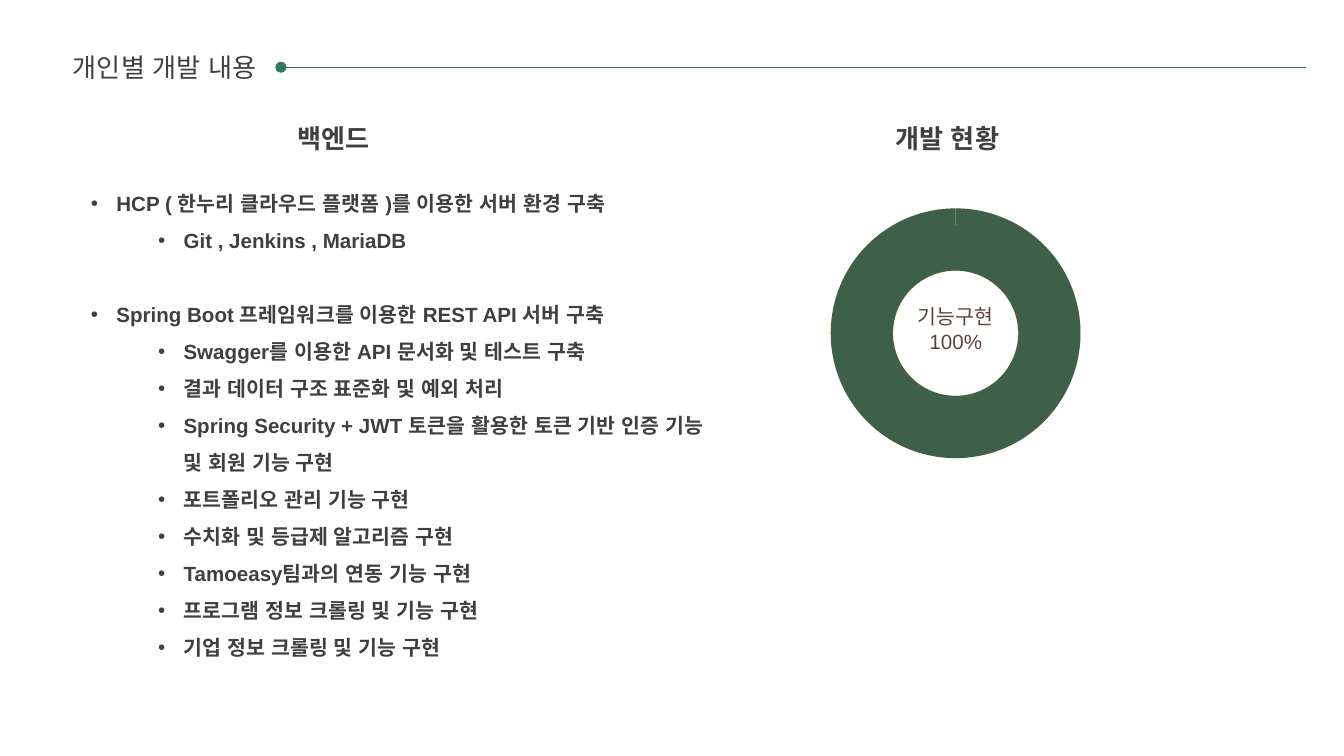
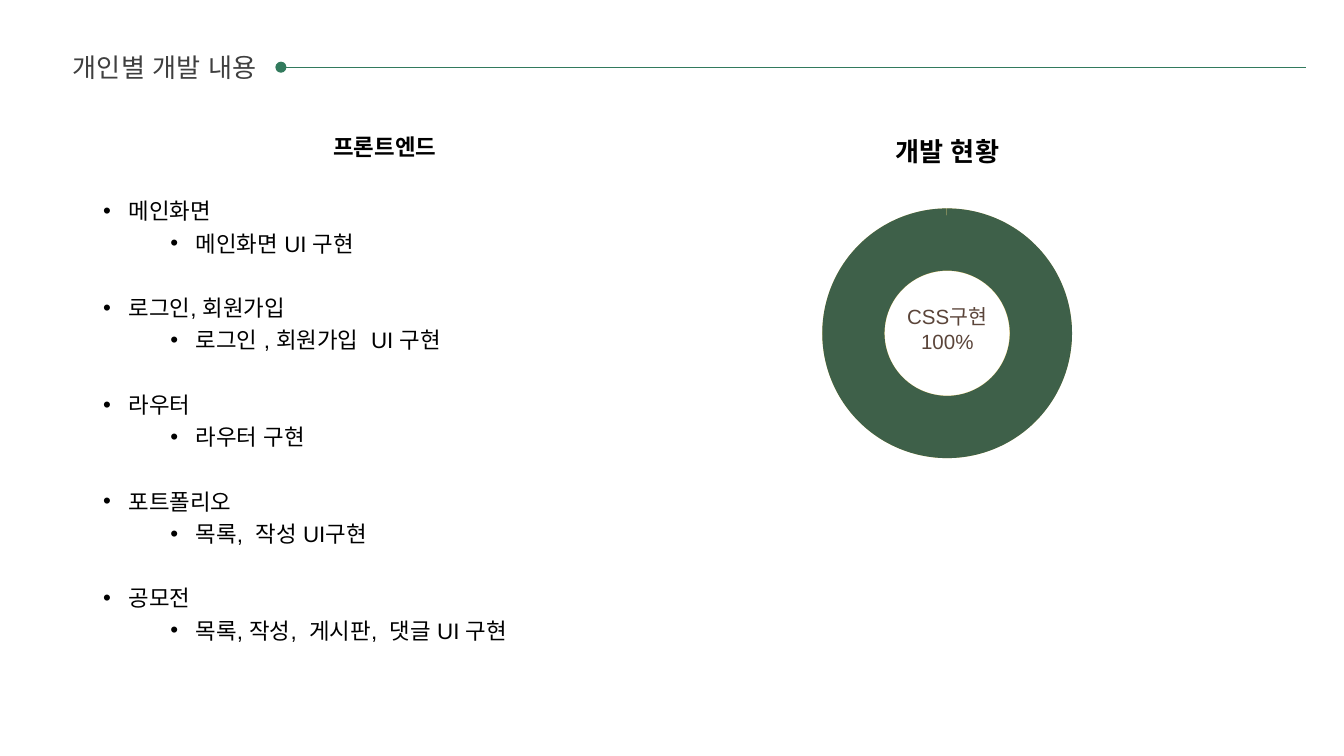
"""Build the two slides on individual development work."""
from dataclasses import dataclass
from typing import NamedTuple

from lxml import etree
from pptx import Presentation
from pptx.dml.color import RGBColor
from pptx.enum.shapes import MSO_CONNECTOR, MSO_SHAPE
from pptx.enum.text import MSO_ANCHOR, PP_ALIGN
from pptx.oxml.ns import qn
from pptx.util import Cm, Pt

STRAIGHT = MSO_CONNECTOR.STRAIGHT
DONUT = MSO_SHAPE.DONUT
BLOCK_ARC = MSO_SHAPE.BLOCK_ARC
TOP = MSO_ANCHOR.TOP
CENTER = PP_ALIGN.CENTER
LEFT = PP_ALIGN.LEFT


@dataclass(frozen=True)
class Theme:
    """Colours, font and type sizes of the deck."""
    font: str = "Arial"
    gray: str = "3F3F3F"
    black: str = "000000"
    rule: str = "327A5D"
    ring: str = "3E6049"
    ring_base: str = "F2D47E"
    ring_text: str = "5B453A"
    title_size: float = 14
    subtitle_size: float = 12
    small_size: float = 11
    rule_width: float = 0.75


THEME = Theme()


class Box(NamedTuple):
    """Place of an element in centimetres."""
    left: float
    top: float
    width: float
    height: float

    def lengths(self) -> list[Cm]:
        """Return the four values as lengths."""
        return [Cm(value) for value in self]


class Style(NamedTuple):
    """Look of a piece of text."""
    size: float
    color: str
    bold: bool = False


class Topic(NamedTuple):
    """First-level bullet with its second-level bullets."""
    name: str
    details: list[str]


@dataclass(frozen=True)
class Part:
    """Content of one development slide."""
    heading: str
    heading_box: Box
    heading_size: float
    status_top: float
    color: str
    topics: list[Topic]
    topics_box: Box
    topics_style: Style
    line_spacing: float
    topic_gap: float
    ring_left: float
    ring_label: str


TITLE = "개인별 개발 내용"
TITLE_BOX = Box(0.51, 0.84, 5.21, 0.86)
RULE_START, RULE_END, RULE_TOP = 5.31, 24.69, 1.27
STATUS = "개발 현황"
STATUS_LEFT, HEADING_WIDTH, HEADING_HEIGHT = 14.5, 6.81, 0.86
RING_TOP, RING_SIZE = 3.94, 4.72
RING_LABEL = Box(1.3, 1.68, 2.13, 1.19)
HANGING = 0.48
LEVEL_MARGINS = (0.48, 1.75)

PARTS = [
    Part(
        heading="백엔드",
        heading_box=Box(2.9, 2.18, HEADING_WIDTH, HEADING_HEIGHT),
        heading_size=THEME.title_size,
        status_top=2.18,
        color=THEME.gray,
        topics=[
            Topic("HCP ( 한누리 클라우드 플랫폼 )를 이용한 서버 환경 구축",
                  ["Git , Jenkins , MariaDB"]),
            Topic("Spring Boot 프레임워크를 이용한 REST API 서버 구축", [
                "Swagger를 이용한 API 문서화 및 테스트 구축",
                "결과 데이터 구조 표준화 및 예외 처리",
                "Spring Security + JWT 토큰을 활용한 토큰 기반 인증 기능 및 회원 기능 구현",
                "포트폴리오 관리 기능 구현",
                "수치화 및 등급제 알고리즘 구현",
                "Tamoeasy팀과의 연동 기능 구현",
                "프로그램 정보 크롤링 및 기능 구현",
                "기업 정보 크롤링 및 기능 구현",
            ]),
        ],
        topics_box=Box(1.47, 3.26, 12.22, 8.9),
        topics_style=Style(THEME.small_size, THEME.gray, True),
        line_spacing=1.5,
        topic_gap=19.8,
        ring_left=15.7,
        ring_label="기능구현",
    ),
    Part(
        heading="프론트엔드",
        heading_box=Box(3.87, 2.39, HEADING_WIDTH, HEADING_HEIGHT),
        heading_size=THEME.subtitle_size,
        status_top=2.44,
        color=THEME.black,
        topics=[
            Topic("메인화면", ["메인화면 UI 구현"]),
            Topic("로그인, 회원가입", ["로그인 , 회원가입  UI 구현"]),
            Topic("라우터", ["라우터 구현"]),
            Topic("포트폴리오", ["목록,  작성 UI구현"]),
            Topic("공모전", ["목록, 작성,  게시판,  댓글 UI 구현"]),
        ],
        topics_box=Box(1.7, 3.51, 9.2, 9),
        topics_style=Style(THEME.subtitle_size, THEME.black),
        line_spacing=1.2,
        topic_gap=17.3,
        ring_left=15.54,
        ring_label="CSS구현",
    ),
]


def write(paragraph, text: str, style: Style, **formats) -> None:
    """Add one styled run and apply the paragraph formats."""
    for name, value in formats.items():
        setattr(paragraph, name, value)
    run = paragraph.add_run()
    run.text = text
    font_formats = {"name": THEME.font, "size": Pt(style.size), "bold": style.bold}
    for name, value in font_formats.items():
        setattr(run.font, name, value)
    run.font.color.rgb = RGBColor.from_string(style.color)
    properties = run.font._element
    etree.SubElement(properties, qn("a:ea"), typeface=THEME.font)


def add_frame(shapes, box: Box):
    """Add an empty wrapping text box and return its frame."""
    frame = shapes.add_textbox(*box.lengths()).text_frame
    frame.word_wrap = True
    frame.vertical_anchor = TOP
    return frame


def add_centered(shapes, lines: list[str], box: Box, style: Style) -> None:
    """Add a text box with centred lines."""
    frame = add_frame(shapes, box)
    for index, line in enumerate(lines):
        paragraph = frame.add_paragraph() if index else frame.paragraphs[0]
        write(paragraph, line, style, alignment=CENTER)


def set_bullet(paragraph, level: int, color: str) -> None:
    """Give a paragraph a hanging round bullet."""
    properties = paragraph._p.get_or_add_pPr()
    properties.set("marL", str(Cm(LEVEL_MARGINS[level])))
    properties.set("indent", str(-Cm(HANGING)))
    bullet_color = etree.SubElement(properties, qn("a:buClr"))
    etree.SubElement(bullet_color, qn("a:srgbClr"), val=color)
    etree.SubElement(properties, qn("a:buFont"), typeface=THEME.font)
    etree.SubElement(properties, qn("a:buChar"), char="•")


def add_topics(slide, part: Part) -> None:
    """Add the two-level bullet list."""
    frame = add_frame(slide.shapes, part.topics_box)
    entries = [(level, text) for topic in part.topics
               for level, text in [(0, topic.name), *((1, item) for item in topic.details)]]
    for index, (level, text) in enumerate(entries):
        paragraph = frame.add_paragraph() if index else frame.paragraphs[0]
        set_bullet(paragraph, level, part.color)
        gap = part.topic_gap if index and level == 0 else 0
        write(paragraph, text, part.topics_style, level=level, alignment=LEFT,
              line_spacing=part.line_spacing, space_before=Pt(gap))


def add_title(slide) -> None:
    """Add the slide title and its dotted rule."""
    rule = slide.shapes.add_connector(
        STRAIGHT, Cm(RULE_START), Cm(RULE_TOP), Cm(RULE_END), Cm(RULE_TOP))
    rule.line.color.rgb = RGBColor.from_string(THEME.rule)
    rule.line.width = Pt(THEME.rule_width)
    properties = rule._element.spPr
    etree.SubElement(properties.find(qn("a:ln")), qn("a:headEnd"), type="oval")
    etree.SubElement(properties, qn("a:effectLst"))
    add_centered(slide.shapes, [TITLE], TITLE_BOX, Style(THEME.title_size, THEME.gray))


def add_ring_shape(shapes, kind, box: Box, color: str, adjustments: list[float]):
    """Add one flat ring shape."""
    shape = shapes.add_shape(kind, *box.lengths())
    shape.shadow.inherit = False
    shape.fill.solid()
    shape.fill.fore_color.rgb = RGBColor.from_string(color)
    shape.line.fill.background()
    for index, value in enumerate(adjustments):
        shape.adjustments[index] = value
    return shape


def add_ring(slide, part: Part) -> None:
    """Add the grouped progress ring with its label."""
    shapes = slide.shapes.add_group_shape().shapes
    box = Box(part.ring_left, RING_TOP, RING_SIZE, RING_SIZE)
    add_ring_shape(shapes, DONUT, box, THEME.ring_base, [0.25])
    progress = add_ring_shape(shapes, BLOCK_ARC, box, THEME.ring, [108, 107.883, 0.249])
    progress.rotation = 90
    label_box = RING_LABEL._replace(left=box.left + RING_LABEL.left,
                                    top=box.top + RING_LABEL.top)
    add_centered(shapes, [part.ring_label, "100%"], label_box,
                 Style(THEME.small_size, THEME.ring_text))


def add_part(presentation, part: Part) -> None:
    """Add one development slide."""
    slide = presentation.slides.add_slide(presentation.slide_layouts[6])
    add_topics(slide, part)
    add_title(slide)
    status_box = Box(STATUS_LEFT, part.status_top, HEADING_WIDTH, HEADING_HEIGHT)
    add_centered(slide.shapes, [STATUS], status_box,
                 Style(THEME.title_size, part.color, True))
    add_ring(slide, part)
    add_centered(slide.shapes, [part.heading], part.heading_box,
                 Style(part.heading_size, part.color, True))


def main() -> None:
    """Build and save the presentation."""
    presentation = Presentation()
    presentation.slide_width = Cm(25.4)
    presentation.slide_height = Cm(14.29)
    for part in PARTS:
        add_part(presentation, part)
    presentation.save("out.pptx")


if __name__ == "__main__":
    main()
